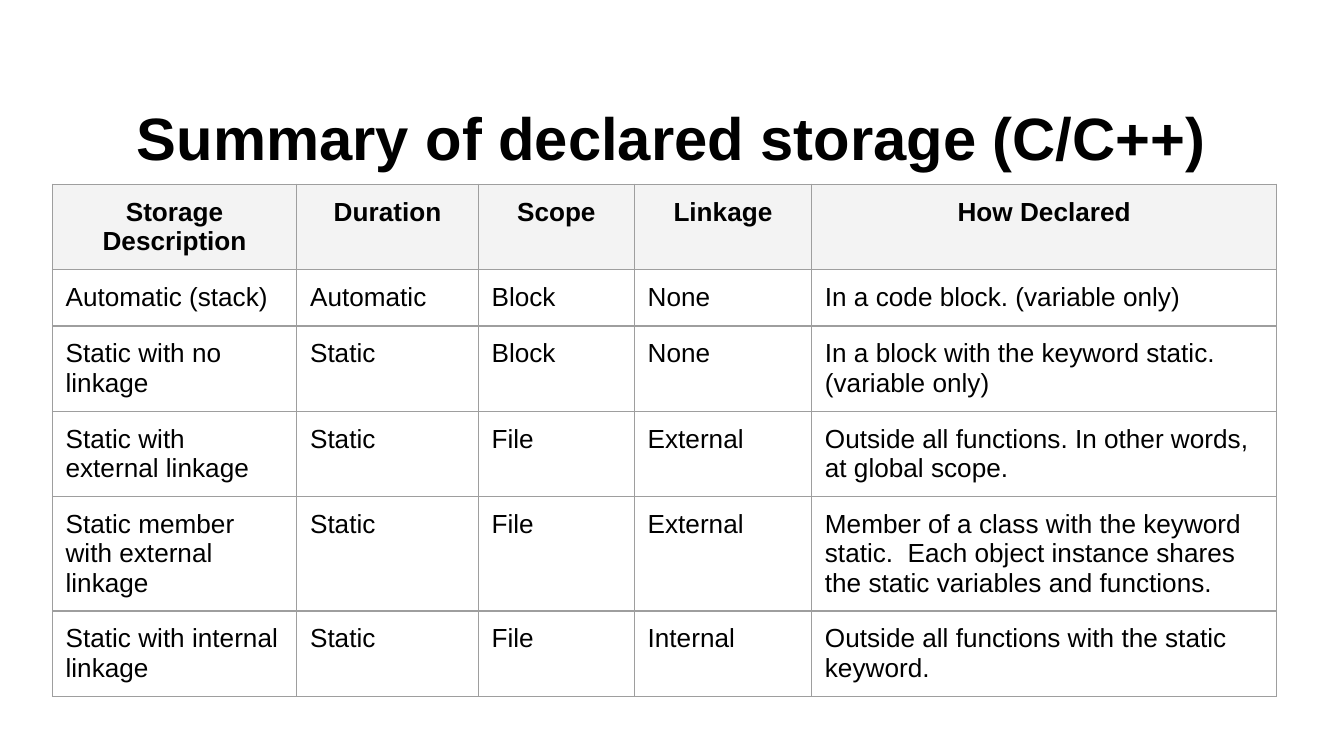
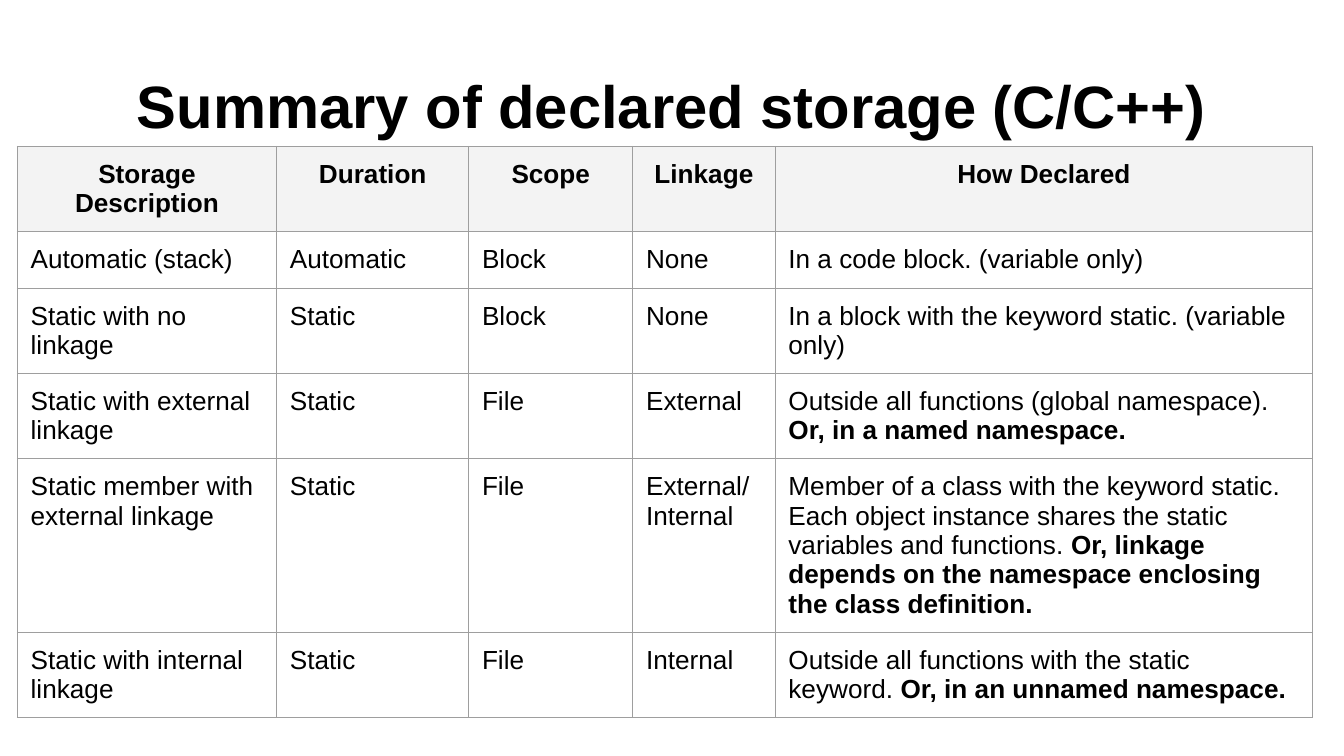
"""Build two slides that summarise declared storage in C and C++."""
import dataclasses

import lxml.etree
import pptx
import pptx.dml.color
import pptx.enum.text
import pptx.oxml.ns
import pptx.util

Cm = pptx.util.Cm
Pt = pptx.util.Pt
Align = pptx.enum.text.PP_ALIGN
Anchor = pptx.enum.text.MSO_ANCHOR


@dataclasses.dataclass(frozen=True)
class Theme:
    font: str = "Arial"
    ink: str = "000000"
    header_fill: str = "F3F3F3"
    border: str = "9E9E9E"
    title_size: float = 32
    table_size: float = 14
    border_width: float = 0.75
    inset: float = 0.25
    row_height: float = 1.07


def write(frame, text, *, font, size, color, inset, bold=False,
          align=Align.LEFT):
    frame.word_wrap = True
    for index, line in enumerate(text.split("\n")):
        paragraph = frame.paragraphs[0] if index == 0 else frame.add_paragraph()
        paragraph.alignment = align
        for position, part in enumerate(line.split("**")):
            if part:
                run = paragraph.add_run()
                run.text = part
                run.font.name = font
                run.font.size = Pt(size)
                run.font.bold = bold or position % 2 == 1
                run.font.color.rgb = pptx.dml.color.RGBColor.from_string(color)
    for side in ("left", "right", "top", "bottom"):
        setattr(frame, f"margin_{side}", Cm(inset))


class Deck:
    def __init__(self, theme):
        self.theme = theme
        self.presentation = pptx.Presentation()
        self.presentation.slide_width = Cm(25.4)
        self.presentation.slide_height = Cm(14.29)
        self.slide = None

    def add_slide(self):
        layout = self.presentation.slide_layouts.get_by_name("Title Only")
        self.slide = self.presentation.slides.add_slide(layout)

    def text(self, frame, text, **options):
        theme = self.theme
        write(frame, text, font=theme.font, color=theme.ink,
              inset=theme.inset, **options)

    def title(self, text, top):
        shape = self.slide.shapes.title
        shape.left, shape.top = Cm(1.27), Cm(top)
        shape.width, shape.height = Cm(22.86), Cm(2.24)
        frame = shape.text_frame
        frame.auto_size = pptx.enum.text.MSO_AUTO_SIZE.NONE
        frame.vertical_anchor = Anchor.MIDDLE
        self.text(frame, text, size=self.theme.title_size, bold=True,
                  align=Align.CENTER)

    def table(self, rows, left, top, widths):
        height = self.theme.row_height
        table = self.slide.shapes.add_table(
            len(rows), len(widths), Cm(left), Cm(top),
            Cm(sum(widths)), Cm(height * len(rows))).table
        table.first_row = table.horz_banding = False
        for column, width in zip(table.columns, widths):
            column.width = Cm(width)
        for row_index, row in enumerate(rows):
            table.rows[row_index].height = Cm(height)
            for column_index, text in enumerate(row):
                cell = table.cell(row_index, column_index)
                self.cell(cell, text, header=row_index == 0)

    def cell(self, cell, text, header):
        self.text(cell.text_frame, text, size=self.theme.table_size,
                  bold=header, align=Align.CENTER if header else Align.LEFT)
        for side in ("left", "right", "top", "bottom"):
            setattr(cell, f"margin_{side}", Cm(self.theme.inset))
        cell.vertical_anchor = Anchor.TOP
        self.borders(cell)
        if header:
            cell.fill.solid()
            cell.fill.fore_color.rgb = pptx.dml.color.RGBColor.from_string(
                self.theme.header_fill)
        else:
            cell.fill.background()

    def borders(self, cell):
        qn = pptx.oxml.ns.qn
        properties = cell._tc.get_or_add_tcPr()
        for edge in ("a:lnL", "a:lnR", "a:lnT", "a:lnB"):
            line = lxml.etree.SubElement(
                properties, qn(edge), w=str(Pt(self.theme.border_width)))
            fill = lxml.etree.SubElement(line, qn("a:solidFill"))
            lxml.etree.SubElement(fill, qn("a:srgbClr"), val=self.theme.border)


HEADER = ("Storage Description", "Duration", "Scope", "Linkage", "How Declared")
STORAGE = (
    ("Automatic (stack)", "Automatic", "Block"),
    ("Static with no linkage", "Static", "Block"),
    ("Static with external linkage", "Static", "File"),
    ("Static member with external linkage", "Static", "File"),
    ("Static with internal linkage", "Static", "File"),
)
LOCAL = (
    ("None", "In a code block. (variable only)"),
    ("None", "In a block with the keyword static. (variable only)"),
)
MEMBER = ("Member of a class with the keyword static.  Each object instance "
          "shares the static variables and functions.")
INTERNAL = "Outside all functions with the static keyword."

BASIC = LOCAL + (
    ("External", "Outside all functions. In other words, at global scope."),
    ("External", MEMBER),
    ("Internal", INTERNAL),
)
WITH_NAMESPACES = LOCAL + (
    ("External", "Outside all functions (global namespace). "
                 "**Or, in a named namespace.**"),
    ("External/\nInternal", MEMBER + " **Or, linkage depends on the namespace "
                                     "enclosing the class definition.**"),
    ("Internal", INTERNAL + " **Or, in an unnamed namespace.**"),
)


def add_summary(deck, declarations, title_top, left, top, widths):
    deck.add_slide()
    deck.title("Summary of declared storage (C/C++)", title_top)
    rows = [kind + declared for kind, declared in zip(STORAGE, declarations)]
    deck.table([HEADER] + rows, left, top, widths)


def main():
    deck = Deck(Theme())
    add_summary(deck, BASIC, title_top=1.47, left=0.99, top=3.48,
                widths=(4.62, 3.43, 2.95, 3.35, 8.79))
    add_summary(deck, WITH_NAMESPACES, title_top=0.86, left=0.33, top=2.77,
                widths=(4.9, 3.63, 3.1, 2.69, 10.16))
    deck.presentation.save("out.pptx")


main()
